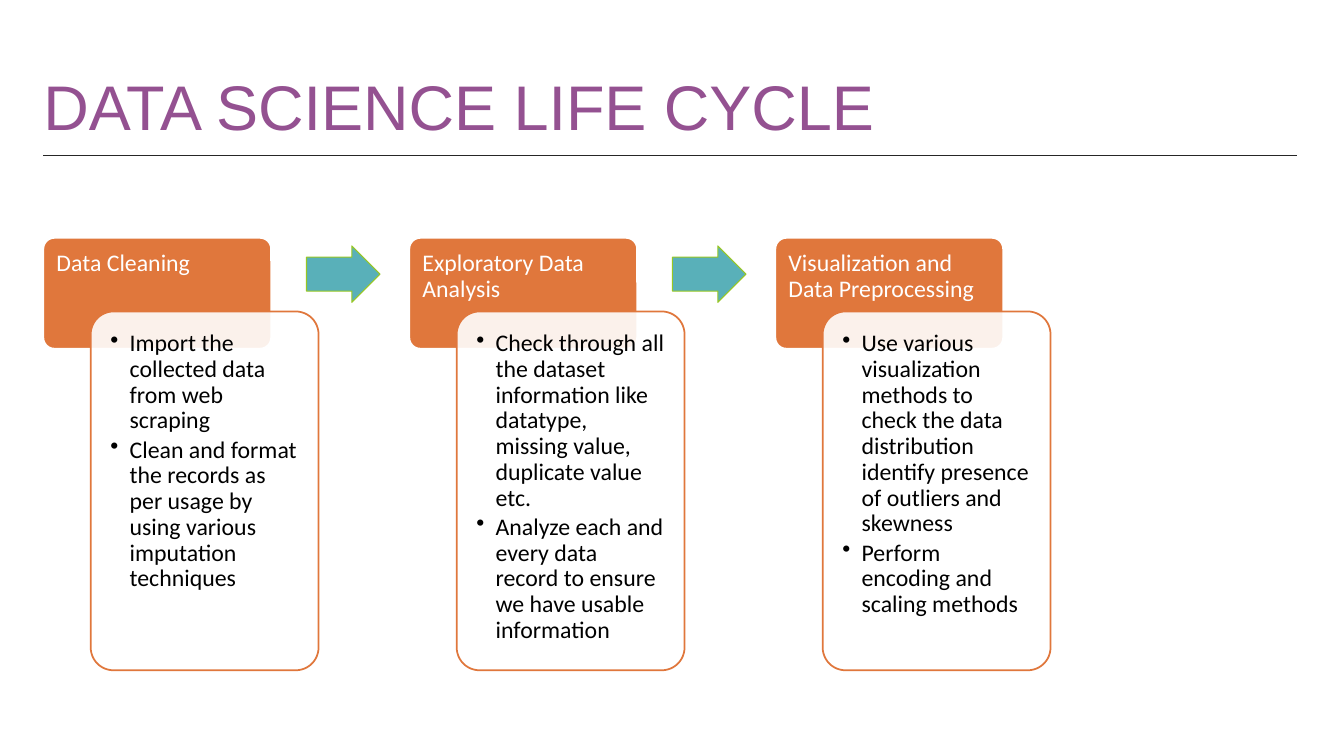
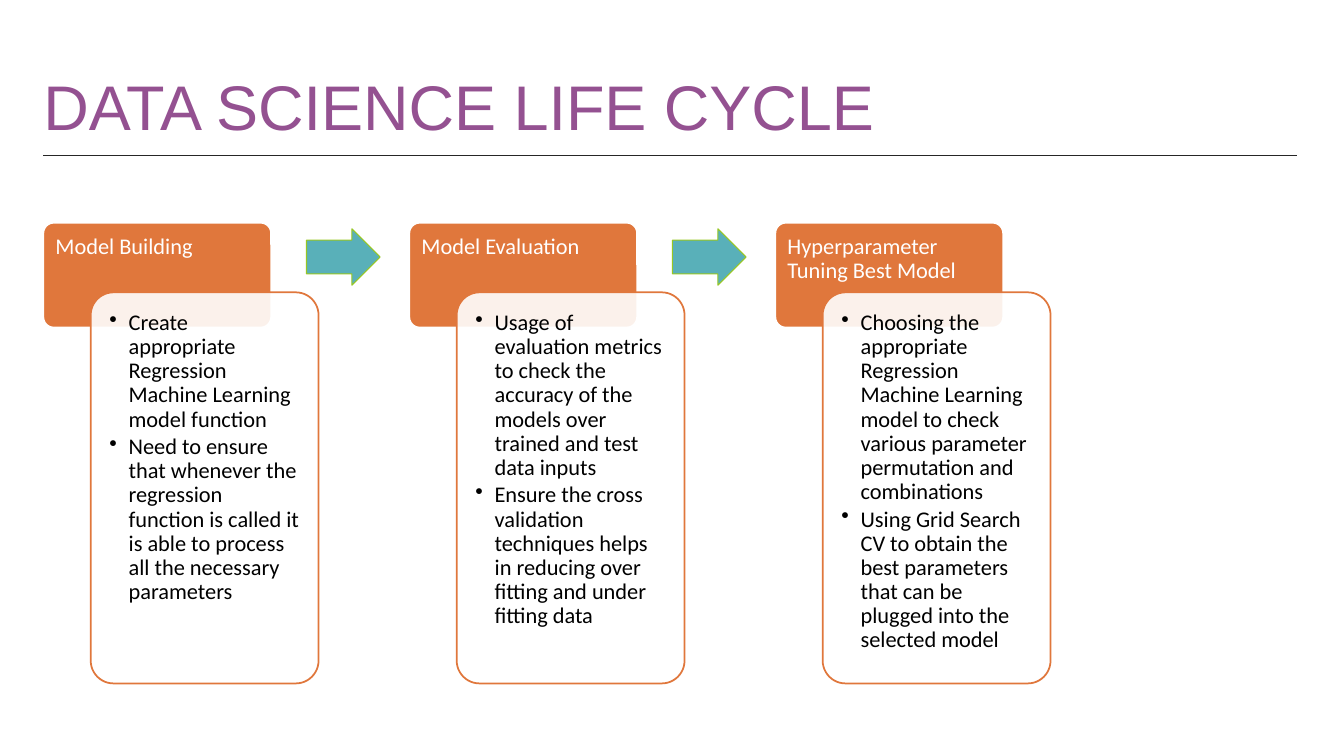
from dataclasses import dataclass

from lxml import etree
from pptx import Presentation, util as u
from pptx.dml.color import RGBColor
from pptx.enum import shapes, text
from pptx.oxml.ns import qn

TITLE = "DATA SCIENCE LIFE CYCLE"

# Per slide: top and height of the step headers, height of the detail cards,
# text inset, type size, and the steps themselves.
SLIDES = [
    dict(top=236, head_h=110, card_h=356, inset=13, size=17, steps=[
        ("Data Cleaning", [
            "Import the collected data from web scraping",
            "Clean and format the records as per usage by using various "
            "imputation techniques"]),
        ("Exploratory Data Analysis", [
            "Check through all the dataset information like datatype, "
            "missing value, duplicate value etc.",
            "Analyze each and every data record to ensure we have usable "
            "information"]),
        ("Visualization and Data Preprocessing", [
            "Use various visualization methods to check the data "
            "distribution identify presence of outliers and skewness",
            "Perform encoding and scaling methods"]),
    ]),
    dict(top=221, head_h=104, card_h=388, inset=12, size=16, steps=[
        ("Model Building", [
            "Create appropriate Regression Machine Learning model function",
            "Need to ensure that whenever the regression function is called "
            "it is able to process all the necessary parameters"]),
        ("Model Evaluation", [
            "Usage of evaluation metrics to check the accuracy of the models "
            "over trained and test data inputs",
            "Ensure the cross validation techniques helps in reducing over "
            "fitting and under fitting data"]),
        ("Hyperparameter Tuning Best Model", [
            "Choosing the appropriate Regression Machine Learning model to "
            "check various parameter permutation and combinations",
            "Using Grid Search CV to obtain the best parameters that can be "
            "plugged into the selected model"]),
    ]),
]


@dataclass(frozen=True)
class Theme:
    title: str = "945191"
    rule: str = "262626"
    step: str = "E0773C"
    paper: str = "FFFFFF"
    ink: str = "000000"
    arrow: str = "59B0B9"
    arrow_edge: str = "98C723"
    title_font: str = "Arial"
    body_font: str = "Calibri"
    title_size: int = 45


T = Theme()
SLIDE_W, SLIDE_H = 1333, 750
MARGIN, CONTENT_W = 43, 1243
STEP_W, PITCH, CARD_DX = 226, 363, 47
ARROW_DX, ARROW_W, ARROW_H = 261, 73, 56
BULLET_INDENT = 19


def px(n):
    """Convert px (100 to the inch) to EMU."""
    return u.Emu(round(n * 9144))


def rgb(value):
    return RGBColor.from_string(value)


def set_all(obj, **values):
    for name, value in values.items():
        setattr(obj, name, value)


def set_frame(tf, insets, anchor):
    sides = ("margin_left", "margin_top", "margin_right", "margin_bottom")
    set_all(tf, word_wrap=True, auto_size=text.MSO_AUTO_SIZE.NONE,
            vertical_anchor=anchor,
            **{side: px(n) for side, n in zip(sides, insets)})


def style_run(r, font, size, color):
    set_all(r.font, name=font, size=u.Pt(size))
    r.font.color.rgb = rgb(color)


def add_block(s, kind, box, fill, line, width, adjust):
    sp = s.shapes.add_shape(kind, *map(px, box))
    sp.shadow.inherit = False
    for i, value in enumerate(adjust):
        sp.adjustments[i] = value
    sp.fill.solid()
    sp.fill.fore_color.rgb = rgb(fill)
    sp.line.color.rgb = rgb(line)
    sp.line.width = u.Pt(width)
    return sp


def set_opacity(sp, percent):
    color = sp.element.spPr.find(qn("a:solidFill")).find(qn("a:srgbClr"))
    etree.SubElement(color, qn("a:alpha")).set("val", str(percent * 1000))


def add_bullet(p):
    pPr = p._p.get_or_add_pPr()
    pPr.set("marL", str(px(BULLET_INDENT)))
    pPr.set("indent", str(-px(BULLET_INDENT)))
    etree.SubElement(pPr, qn("a:buChar")).set("char", "•")


def write(sp, lines, insets, size, color, bullets=False):
    tf = sp.text_frame
    set_frame(tf, insets, text.MSO_ANCHOR.TOP)
    for i, line in enumerate(lines):
        p = tf.paragraphs[0] if i == 0 else tf.add_paragraph()
        set_all(p, alignment=text.PP_ALIGN.LEFT, line_spacing=0.9,
                space_after=u.Pt(0.15 * size))
        if bullets:
            add_bullet(p)
        r = p.add_run()
        r.text = line
        style_run(r, T.body_font, size, color)


def add_step(s, x, step, top, head_h, card_h, inset, size):
    """Draw a step header with its detail card overlapping the lower third."""
    heading, details = step
    card_top = top + round(head_h * 2 / 3)
    rounded = shapes.MSO_SHAPE.ROUNDED_RECTANGLE
    head = add_block(s, rounded, (x, top, STEP_W, head_h),
                     T.step, T.paper, 1.25, [0.1])
    corner = 3  # a rounded shape already insets its text by this much
    write(head, [heading], [inset - corner] * 4, size, T.paper)
    card = add_block(s, rounded, (x + CARD_DX, card_top, STEP_W, card_h),
                     T.paper, T.step, 1.25, [0.1])
    set_opacity(card, 90)
    write(card, details, [inset] * 4, size, T.ink, bullets=True)


def add_arrow(s, x, top, head_h):
    y = top + (round(head_h * 2 / 3) - ARROW_H) // 2
    add_block(s, shapes.MSO_SHAPE.RIGHT_ARROW,
              (x + ARROW_DX, y, ARROW_W, ARROW_H),
              T.arrow, T.arrow_edge, 0.75, [0.6, 0.5])


def set_up_layout(layout):
    title = layout.placeholders[0]
    set_all(title, left=px(MARGIN), top=px(37),
            width=px(CONTENT_W), height=px(110))
    set_frame(title.text_frame, (0, 5, 0, 5), text.MSO_ANCHOR.BOTTOM)


def add_title(s):
    p = s.shapes.title.text_frame.paragraphs[0]
    p.alignment = text.PP_ALIGN.LEFT
    r = p.add_run()
    r.text = TITLE
    style_run(r, T.title_font, T.title_size, T.title)


def add_title_rule(s):
    rule = s.shapes.add_connector(
        shapes.MSO_CONNECTOR.STRAIGHT,
        *map(px, (MARGIN, 154, MARGIN + CONTENT_W, 154)))
    rule.line.color.rgb = rgb(T.rule)
    rule.line.width = u.Pt(1)
    etree.SubElement(rule.element.spPr, qn("a:effectLst"))


def build_slide(prs, layout, steps, **form):
    s = prs.slides.add_slide(layout)
    add_title(s)
    add_title_rule(s)
    for i, step in enumerate(steps):
        x = MARGIN + i * PITCH
        add_step(s, x, step, **form)
        if i < len(steps) - 1:
            add_arrow(s, x, form["top"], form["head_h"])


def main():
    prs = Presentation()
    set_all(prs, slide_width=px(SLIDE_W), slide_height=px(SLIDE_H))
    layout = prs.slide_layouts[5]
    set_up_layout(layout)
    for content in SLIDES:
        build_slide(prs, layout, **content)
    prs.save("out.pptx")


if __name__ == "__main__":
    main()
